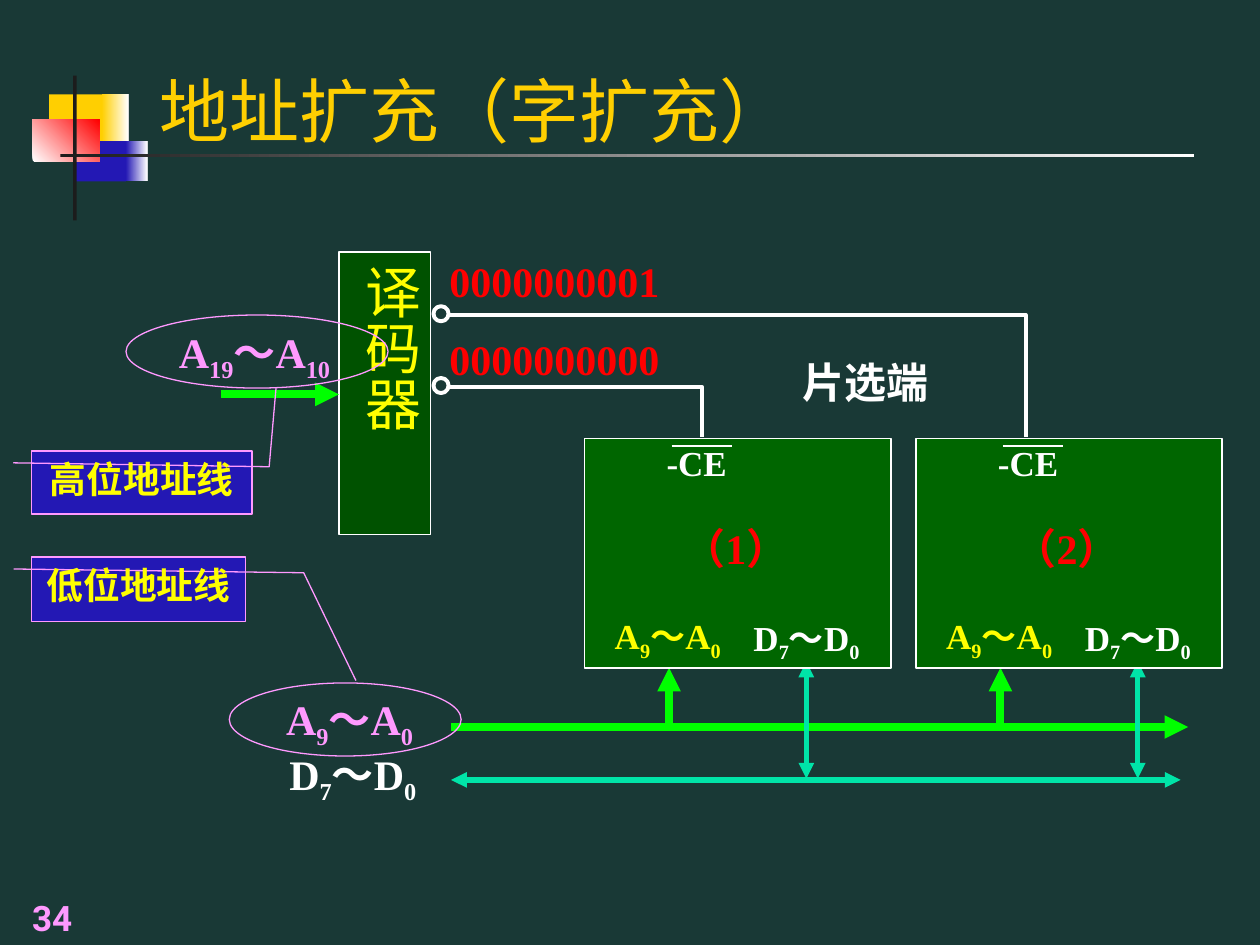
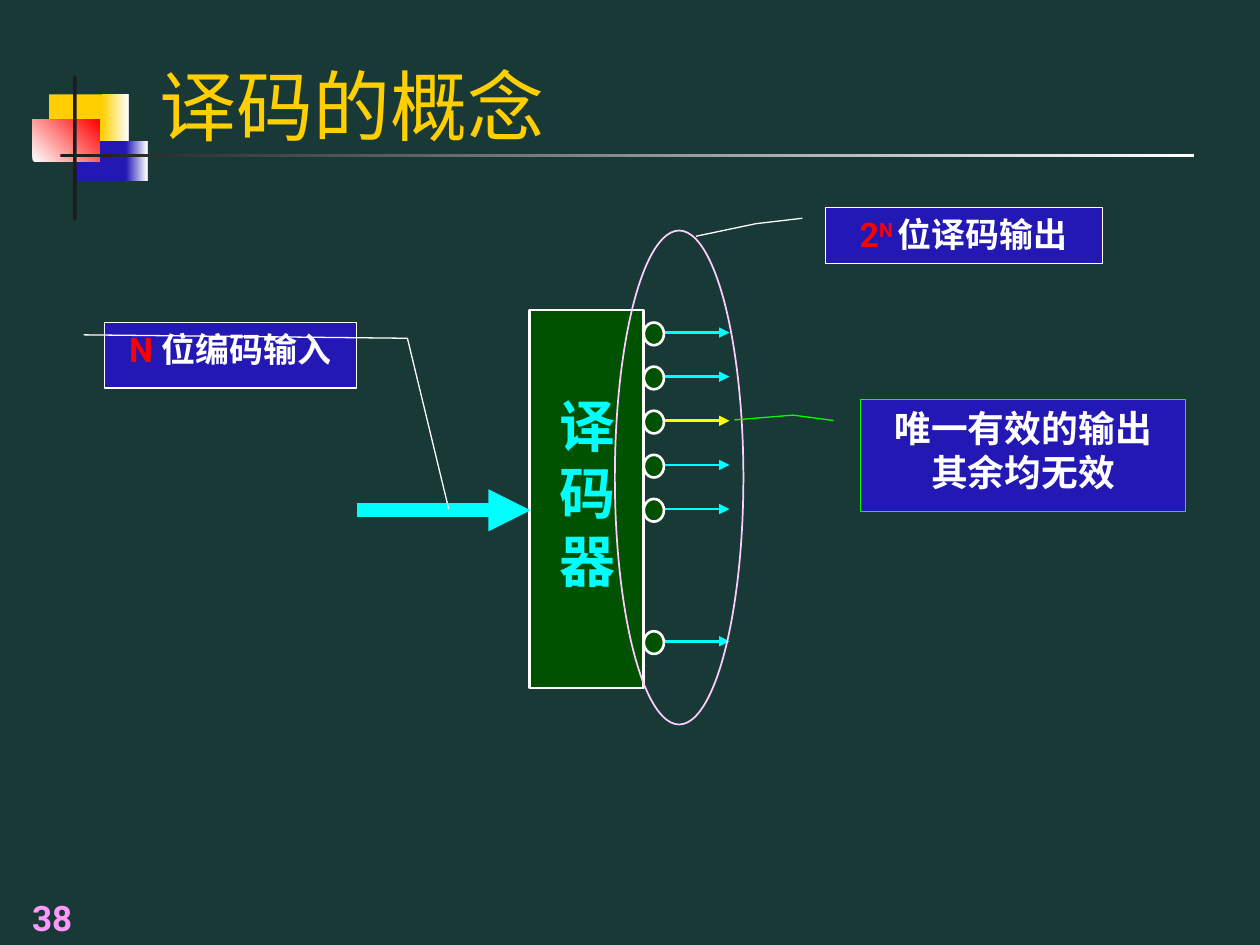
from lxml import etree
from pptx import Presentation
from pptx.dml.color import RGBColor
from pptx.enum.shapes import MSO_CONNECTOR, MSO_SHAPE
from pptx.enum.text import MSO_ANCHOR, PP_ALIGN
from pptx.oxml.ns import qn
from pptx.util import Inches, Pt

COLORS = {
    "background": "193936", "gold": "FFCF01", "blue": "2318B4", "ink": "1C1C1C",
    "white": "FFFFFF", "red": "FF0000", "pink": "FF99FF", "pale_pink": "FFCCFF",
    "yellow": "FFFF00", "green": "00FF00", "teal": "00E4A8", "cyan": "00FFFF",
    "chip": "006600", "decoder": "005200",
}
SANS = "Roboto"
SERIF = "Times New Roman"
TIGHT = (0.01, 0.01)
NORMAL = (0.1, 0.05)


def rgb(name):
    return RGBColor.from_string(COLORS[name])


def box_of(at):
    return [Inches(value) for value in at]


def write_text(shape, paragraphs, size, color, font=SANS, bold=True, insets=NORMAL,
               align=PP_ALIGN.CENTER, anchor=MSO_ANCHOR.TOP):
    frame = shape.text_frame
    frame.word_wrap = True
    frame.vertical_anchor = anchor
    frame.margin_left = frame.margin_right = Inches(insets[0])
    frame.margin_top = frame.margin_bottom = Inches(insets[1])
    for index, parts in enumerate(paragraphs):
        paragraph = frame.add_paragraph() if index else frame.paragraphs[0]
        paragraph.alignment = align
        for words, part_color, baseline in parts:
            run = paragraph.add_run()
            run.text = words
            run.font.name = font
            run.font.size = Pt(size)
            run.font.bold = bold
            run.font.color.rgb = rgb(part_color or color)
            if baseline:
                run._r.get_or_add_rPr().set("baseline", str(baseline * 1000))


def plain(words):
    return [(words, None, 0)]


def bus_range(letter, high, low):
    return [(letter, None, 0), (high, None, -25), ("～" + letter, None, 0), (low, None, -25)]


def add_label(slide, at, parts, size, color, **style):
    label = slide.shapes.add_textbox(*box_of(at))
    write_text(label, [parts], size, color, **style)


def add_diagram_label(slide, at, parts, size, color, align=PP_ALIGN.CENTER):
    add_label(slide, at, parts, size, color, font=SERIF, insets=TIGHT, align=align)


def style_outline(shape, color, width):
    shape.shadow.inherit = False
    if color:
        shape.line.color.rgb = rgb(color)
        shape.line.width = Pt(width)
    else:
        shape.line.fill.background()


def add_block(slide, kind, at, fill=None, line=None, width=0.75):
    block = slide.shapes.add_shape(kind, *box_of(at))
    style_outline(block, line, width)
    if fill:
        block.fill.solid()
        block.fill.fore_color.rgb = rgb(fill)
    else:
        block.fill.background()
    return block


def add_gradient(slide, at, first, last, angle=0):
    block = add_block(slide, MSO_SHAPE.RECTANGLE, at)
    block.fill.gradient()
    block.fill.gradient_angle = angle
    for stop, position, color in zip(block.fill.gradient_stops, (0, 1), (first, last)):
        stop.position = position
        stop.color.rgb = rgb(color)


def add_line(slide, start, end, color, width, head=False, tail=False):
    line = slide.shapes.add_connector(MSO_CONNECTOR.STRAIGHT, *box_of(start + end))
    line.line.color.rgb = rgb(color)
    line.line.width = Pt(width)
    outline = line.line._get_or_add_ln()
    for tag, wanted in (("a:headEnd", head), ("a:tailEnd", tail)):
        if wanted:
            etree.SubElement(outline, qn(tag)).set("type", "triangle")
    etree.SubElement(line._element.spPr, qn("a:effectLst"))


def add_wire(slide, points):
    corners = [tuple(box_of(point)) for point in points]
    builder = slide.shapes.build_freeform(*corners[0])
    builder.add_line_segments(corners[1:], close=False)
    wire = builder.convert_to_shape()
    wire.fill.background()
    style_outline(wire, "white", 2.25)


def add_callout(slide, at, leader, paragraphs, size, color, outline):
    callout = add_block(slide, MSO_SHAPE.LINE_CALLOUT_2, at, "blue", outline)
    for index, value in enumerate((0.188, -0.083) + leader):
        callout.adjustments[index] = value
    write_text(callout, paragraphs, size, color)


def start_slide(deck, title, title_size, number):
    slide = deck.slides.add_slide(deck.slide_layouts[6])
    slide.background.fill.solid()
    slide.background.fill.fore_color.rgb = rgb("background")
    add_block(slide, MSO_SHAPE.RECTANGLE, (0.39, 0.75, 0.46, 0.37), "gold")
    add_gradient(slide, (0.81, 0.75, 0.21, 0.37), "gold", "white")
    add_block(slide, MSO_SHAPE.RECTANGLE, (0.59, 1.12, 0.41, 0.32), "blue")
    add_gradient(slide, (1, 1.12, 0.17, 0.32), "blue", "white")
    add_gradient(slide, (0.26, 0.95, 0.53, 0.33), "white", "red", 45)
    add_block(slide, MSO_SHAPE.RECTANGLE, (0.58, 0.6, 0.03, 1.15), "ink")
    add_gradient(slide, (0.48, 1.22, 9, 0.03), "ink", "white")
    add_label(slide, (0, 7, 0.83, 0.5), plain(number), 20, "pink", anchor=MSO_ANCHOR.BOTTOM)
    add_label(slide, (1.17, 0.33, 8.52, 0.92), plain(title), title_size, "gold",
              bold=False, align=PP_ALIGN.LEFT, anchor=MSO_ANCHOR.BOTTOM)
    return slide


def add_memory_chip(slide, left, number):
    data_x, address_x = left + 1.76, left + 0.67
    add_line(slide, (data_x, 6.18), (data_x, 5.25), "teal", 3, head=True, tail=True)
    add_line(slide, (address_x, 5.74), (address_x, 5.3), "green", 4.5, tail=True)
    add_block(slide, MSO_SHAPE.RECTANGLE, (left, 3.48, 2.43, 1.82), "chip", "white", 1)
    add_diagram_label(slide, (left + 0.6, 4.14, 1.2, 0.46), plain(f"（{number}）"), 24, "red")
    add_diagram_label(slide, (left - 0.56, 4.87, 2.44, 0.56), bus_range("A", "9", "0"),
                      20, "yellow")
    add_diagram_label(slide, (left + 1.33, 4.88, 1.2, 0.53), bus_range("D", "7", "0"),
                      20, "white", PP_ALIGN.JUSTIFY)
    add_diagram_label(slide, (left + 0.36, 3.49, 1.06, 0.41), plain("-CE"), 20, "white")
    add_line(slide, (left + 0.69, 3.54), (left + 1.17, 3.54), "white", 0.75)


def add_select_output(slide, code, code_top, wire_y, chip_x):
    add_wire(slide, [(chip_x, 3.47), (chip_x, wire_y), (3.57, wire_y)])
    add_block(slide, MSO_SHAPE.OVAL, (3.44, wire_y - 0.07, 0.12, 0.12), None, "white", 2.25)
    add_diagram_label(slide, (3.38, code_top, 2.04, 0.51), plain(code), 24, "red")


def build_address_expansion(deck):
    slide = start_slide(deck, "地址扩充（字扩充）", 40, "34")
    add_diagram_label(slide, (6.36, 2.82, 1.23, 0.49), plain("片选端"), 24, "white",
                      PP_ALIGN.JUSTIFY)
    add_diagram_label(slide, (1.78, 5.93, 2.04, 0.69), bus_range("D", "7", "0"), 24, "white")
    add_diagram_label(slide, (1, 2.58, 2.04, 0.51), bus_range("A", "19", "10"), 24, "pink")
    add_diagram_label(slide, (1.55, 5.49, 2.45, 0.52), bus_range("A", "9", "0"), 24, "pink")
    add_line(slide, (3.58, 6.19), (9.37, 6.19), "teal", 3, head=True, tail=True)
    add_line(slide, (3.58, 5.77), (9.43, 5.77), "green", 4.5, tail=True)
    add_memory_chip(slide, 7.27, 2)
    add_memory_chip(slide, 4.64, 1)

    decoder = add_block(slide, MSO_SHAPE.RECTANGLE, (2.69, 2, 0.73, 2.24), "decoder", "white")
    write_text(decoder, [plain("译码器")], 32, "yellow", bold=False, insets=(0.05, 0.1))
    decoder.text_frame._txBody.bodyPr.set("vert", "eaVert")
    add_line(slide, (1.75, 3.13), (2.69, 3.13), "green", 4.5, tail=True)
    add_select_output(slide, "0000000001", 2.02, 2.5, 8.14)
    add_select_output(slide, "0000000000", 2.64, 3.07, 5.57)

    add_callout(slide, (0.25, 4.42, 1.7, 0.51), (0.247, 1.271, 1.925, 1.515),
                [plain("低位地址线")], 21, "yellow", "pink")
    add_callout(slide, (0.25, 3.58, 1.75, 0.5), (0.25, 1.078, -0.997, 1.109),
                [plain("高位地址线")], 21, "yellow", "pink")
    for ring in ((1, 2.5, 2.08, 0.58), (1.82, 5.42, 1.84, 0.58)):
        add_block(slide, MSO_SHAPE.OVAL, ring, None, "pink")


def build_decoding_concept(deck):
    slide = start_slide(deck, "译码的概念", 44, "38")
    add_block(slide, MSO_SHAPE.RECTANGLE, (4.2, 2.46, 0.91, 3), "decoder", "white", 1.5)
    add_line(slide, (2.83, 4.05), (4.21, 4.05), "cyan", 8, tail=True)
    active_row = 2
    for row in (0, 1, 2, 3, 4, 7):
        y = 2.64 + 0.35 * row
        color = "yellow" if row == active_row else "cyan"
        add_line(slide, (5.11, y), (5.79, y), color, 1.5, tail=True)
        add_block(slide, MSO_SHAPE.OVAL, (5.11, y - 0.08, 0.16, 0.18), "decoder", "white", 1.5)

    add_callout(slide, (0.83, 2.56, 2, 0.52), (0.24, 1.202, 2.847, 1.366),
                [[("N ", "red", 0), ("位编码输入", None, 0)]], 19.4, "white", "white")
    add_block(slide, MSO_SHAPE.OVAL, (4.88, 1.83, 1.02, 3.92), None, "pale_pink", 1)
    add_callout(slide, (6.55, 1.65, 2.2, 0.44), (0.286, -0.25, 0.512, -0.466),
                [[("2", "red", 0), ("N ", "red", 30), ("位译码输出", None, 0)]],
                19.4, "white", "white")
    add_callout(slide, (6.83, 3.17, 2.58, 0.89), (0.14, -0.208, 0.183, -0.388),
                [plain("唯一有效的输出"), plain("其余均无效")], 21, "white", "green")
    add_label(slide, (4.34, 3.06, 0.77, 1.7), plain("译码器"), 32, "cyan",
              font=SERIF, align=PP_ALIGN.LEFT)


def main():
    deck = Presentation()
    deck.slide_width = Inches(10)
    deck.slide_height = Inches(7.5)
    build_address_expansion(deck)
    build_decoding_concept(deck)
    deck.save("out.pptx")


if __name__ == "__main__":
    main()
